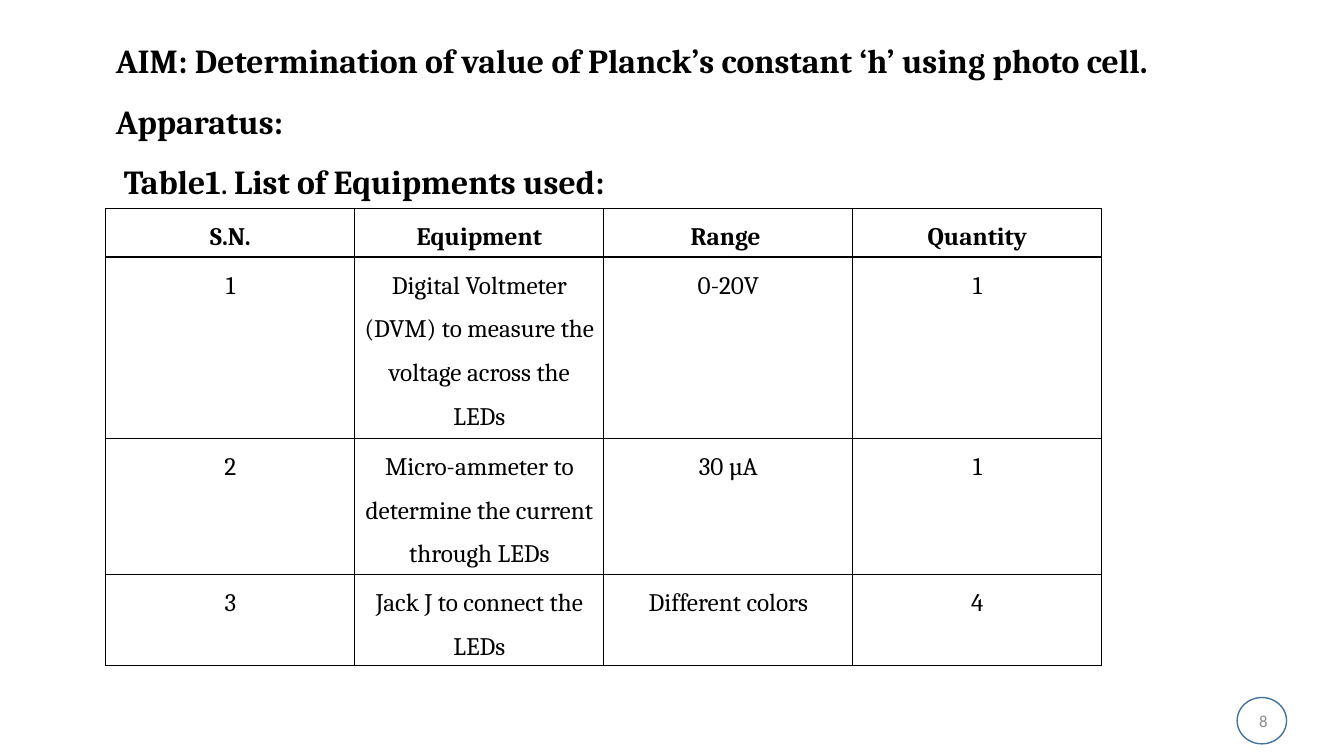
import pptx
import pptx.util
import pptx.dml.color
import pptx.enum.shapes
import pptx.enum.text
import pptx.oxml
import pptx.oxml.ns

Inches = pptx.util.Inches
Pt = pptx.util.Pt
RGBColor = pptx.dml.color.RGBColor
ALIGN = pptx.enum.text.PP_ALIGN
ANCHOR = pptx.enum.text.MSO_ANCHOR

BLACK = RGBColor(0x00, 0x00, 0x00)
GRAY = RGBColor(0x8C, 0x8C, 0x8C)
BLUE = RGBColor(0x43, 0x73, 0x9E)

HEADING = {"name": "Cambria", "size": Pt(24), "bold": True}
HEADING_PLAIN = {**HEADING, "bold": False}
CELL = {"name": "Cambria", "size": Pt(18), "bold": False}
CELL_HEAD = {**CELL, "bold": True}
PAGE = {"name": "Calibri", "size": Pt(12)}

EQUIPMENT = [
    ["S.N.", "Equipment", "Range ", "Quantity"],
    ["1", "Digital Voltmeter (DVM) to measure the voltage across the LEDs", "0-20V", "1"],
    ["2", "Micro-ammeter to determine the current through LEDs", "30 µA", "1"],
    ["3", "Jack J to connect the LEDs", "Different colors", "4"],
]


class Deck:
    """Holds the presentation, its current slide and the shared style."""

    def __init__(self):
        self.prs = pptx.Presentation()
        self.prs.slide_width = Inches(13.33)
        self.prs.slide_height = Inches(7.5)
        self.s = self.prs.slides.add_slide(self.prs.slide_layouts[6])

    def paragraph(self, p, runs, align=ALIGN.LEFT, spacing=1.5, color=BLACK, indent=0):
        if indent:
            p._p.get_or_add_pPr().set("marL", str(Inches(indent)))
        p.alignment = align
        p.line_spacing = spacing
        for text, style in runs:
            r = p.add_run()
            r.text = text
            for key, value in style.items():
                setattr(r.font, key, value)
            r.font.color.rgb = color

    def textbox(self, box, paragraphs, anchor=ANCHOR.TOP, **style):
        sp = self.s.shapes.add_textbox(*map(Inches, box))
        tf = sp.text_frame
        tf.word_wrap = True
        tf.vertical_anchor = anchor
        for i, (runs, indent) in enumerate(paragraphs):
            p = tf.add_paragraph() if i else tf.paragraphs[0]
            self.paragraph(p, runs, indent=indent, **style)

    def ellipse(self, box, color):
        sp = self.s.shapes.add_shape(
            pptx.enum.shapes.MSO_SHAPE.OVAL, *map(Inches, box))
        sp.shadow.inherit = False
        sp.fill.background()
        sp.line.color.rgb = color
        sp.line.width = Pt(1)

    def border(self, cell):
        tcPr = cell._tc.get_or_add_tcPr()
        for i, side in enumerate(("lnL", "lnR", "lnT", "lnB")):
            tcPr.insert(i, pptx.oxml.parse_xml(
                f'<a:{side} {pptx.oxml.ns.nsdecls("a")} w="{Pt(1)}"><a:solidFill>'
                f'<a:srgbClr val="{BLACK}"/></a:solidFill></a:{side}>'))

    def table(self, left, top, col_width, heights, rows):
        cols = len(rows[0])
        sp = self.s.shapes.add_table(
            len(rows), cols, Inches(left), Inches(top),
            Inches(col_width * cols), Inches(sum(heights)))
        table = sp.table
        table.first_row = table.horz_banding = False
        for column in table.columns:
            column.width = Inches(col_width)
        margins = {"margin_left": Inches(0.07), "margin_right": Inches(0.07),
                   "margin_top": 0, "margin_bottom": 0}
        for i, row in enumerate(rows):
            table.rows[i].height = Inches(heights[i])
            for j, text in enumerate(row):
                cell = table.cell(i, j)
                for key, value in margins.items():
                    setattr(cell, key, value)
                cell.fill.background()
                self.border(cell)
                style = CELL if i else CELL_HEAD
                self.paragraph(cell.text_frame.paragraphs[0], [(text, style)], ALIGN.CENTER)


def main():
    deck = Deck()
    deck.textbox((9.67, 6.95, 3, 0.4), [([("8", PAGE)], 0)], ANCHOR.MIDDLE,
                 align=ALIGN.RIGHT, spacing=1.0, color=GRAY)
    deck.ellipse((12.27, 6.92, 0.49, 0.46), BLUE)
    deck.textbox((1.05, 0.15, 11.71, 1.92), [
        ([("AIM: Determination of value of Planck’s constant ‘h’ using photo cell.",
           HEADING)], 0),
        ([("Apparatus:", HEADING)], 0),
        ([("Table1", HEADING), (". ", HEADING_PLAIN),
          ("List of Equipments used:", HEADING)], 0.08),
    ])
    deck.table(1.05, 2.07, 2.47, [0.48, 1.58, 1.31, 0.8], EQUIPMENT)
    deck.prs.save("out.pptx")


if __name__ == "__main__":
    main()
